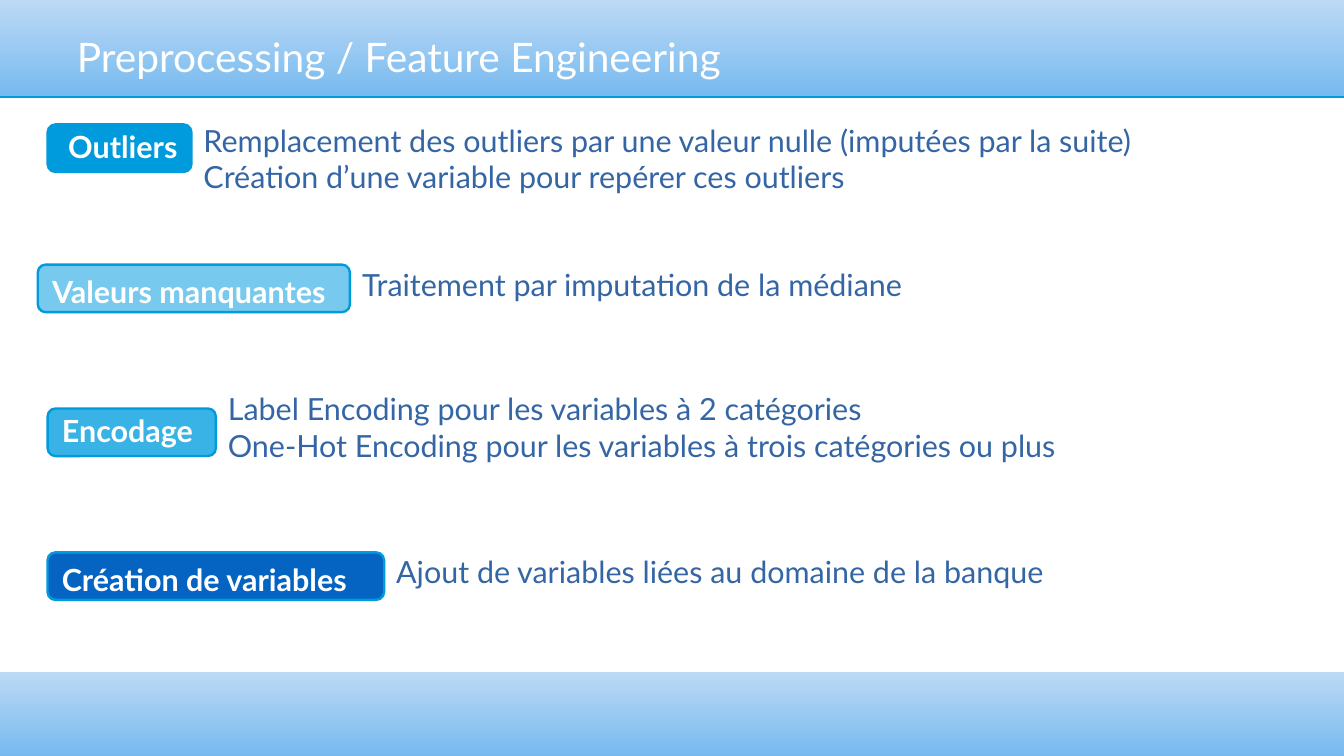
from lxml import etree
from pptx import Presentation
from pptx import util as u
from pptx.dml import color
from pptx.enum import shapes, text
from pptx.oxml import ns

COLORS = {
    "band_top": "BCDAF5",
    "band_bottom": "77B9EF",
    "accent": "009BDD",
    "missing": "77CAEE",
    "encoding": "39B2E5",
    "creation": "0563C1",
    "body": "3465A4",
    "white": "FFFFFF",
}
PAGE_WIDTH, PAGE_HEIGHT = 11.02, 6.2
PILL_HEIGHT = 0.39

BANDS = [(0, 0.79), (5.51, 0.69)]

TOPICS = [
    {"label": "Outliers", "fill": "accent", "pill": (0.39, 1.02, 1.18), "inset": (0.15, 0.01),
     "notes_box": (0.95, 8.75, 0.43),
     "notes": ["Remplacement des outliers par une valeur nulle (imputées par la suite)",
               "Création d’une variable pour repérer ces outliers"]},
    {"label": "Valeurs manquantes", "fill": "missing", "pill": (0.31, 2.17, 2.56), "inset": (0.1, 0.05),
     "notes_box": (2.13, 7.79, 1.22),
     "notes": ["Traitement par imputation de la médiane"]},
    {"label": "Encodage", "fill": "encoding", "pill": (0.39, 3.35, 1.38), "inset": (0.1, 0.01),
     "notes_box": (3.15, 7.79, 1.22),
     "notes": ["Label Encoding pour les variables à 2 catégories",
               "One-Hot Encoding pour les variables à trois catégories ou plus"]},
    {"label": "Création de variables", "fill": "creation", "pill": (0.39, 4.53, 2.76), "inset": (0.1, 0.05),
     "notes_box": (4.49, 5.99, 1.02),
     "notes": ["Ajout de variables liées au domaine de la banque"]},
]


def rgb(name):
    return color.RGBColor.from_string(COLORS[name])


def set_all(target, values):
    for name, value in values.items():
        setattr(target, name, value)


def write(box, lines, ink, size=18, bold=False, inset=(0.1, 0.05), anchor=text.MSO_ANCHOR.TOP):
    frame = box.text_frame
    left, top = inset
    set_all(frame, {"word_wrap": True, "vertical_anchor": anchor, "margin_left": u.Inches(left),
                    "margin_top": u.Inches(top), "margin_right": 0, "margin_bottom": 0})
    for index, line in enumerate(lines):
        para = frame.add_paragraph() if index else frame.paragraphs[0]
        para.alignment = text.PP_ALIGN.LEFT
        span = para.add_run()
        span.text = line
        set_all(span.font, {"name": "Lato", "size": u.Pt(size), "bold": bold})
        span.font.color.rgb = rgb(ink)


def add_text(page, left, top, width, height, lines, ink, **options):
    box = page.shapes.add_textbox(*map(u.Inches, (left, top, width, height)))
    write(box, lines, ink, **options)


def add_edge_shadow(shape):
    shape.shadow.inherit = False
    effects = shape._element.spPr.find(ns.qn("a:effectLst"))
    shadow = etree.SubElement(effects, ns.qn("a:outerShdw"), blurRad="0",
                              dist=str(u.Pt(0.9)), dir="5400000", algn="ctr", rotWithShape="0")
    etree.SubElement(shadow, ns.qn("a:srgbClr"), val=COLORS["accent"])


def add_band(page, top, height):
    band = page.shapes.add_shape(shapes.MSO_SHAPE.RECTANGLE, 0, u.Inches(top),
                                 u.Inches(PAGE_WIDTH), u.Inches(height))
    band.fill.gradient()
    band.fill.gradient_angle = 270
    for stop, name in zip(band.fill.gradient_stops, ("band_top", "band_bottom")):
        stop.color.rgb = rgb(name)
    band.line.fill.background()
    add_edge_shadow(band)


def add_pill(page, left, top, width, label, fill, inset):
    pill = page.shapes.add_shape(shapes.MSO_SHAPE.ROUNDED_RECTANGLE,
                                 *map(u.Inches, (left, top, width, PILL_HEIGHT)))
    pill.shadow.inherit = False
    pill.fill.solid()
    pill.fill.fore_color.rgb = rgb(fill)
    pill.line.color.rgb = rgb("accent")
    pill.line.width = u.Pt(1.42)
    write(pill, [label], "white", bold=True, inset=inset)


def add_topic(page, topic):
    left, top, width = topic["pill"]
    add_pill(page, left, top, width, topic["label"], topic["fill"], topic["inset"])
    notes_top, notes_width, notes_height = topic["notes_box"]
    add_text(page, left + width, notes_top, notes_width, notes_height, topic["notes"], "body")


def main():
    deck = Presentation()
    set_all(deck, {"slide_width": u.Inches(PAGE_WIDTH), "slide_height": u.Inches(PAGE_HEIGHT)})
    page = deck.slides.add_slide(deck.slide_layouts[6])
    for top, height in BANDS:
        add_band(page, top, height)
    add_text(page, 0.39, 0.2, 10.24, 0.52, ["Preprocessing / Feature Engineering"], "white",
             size=24, inset=(0.24, 0), anchor=text.MSO_ANCHOR.MIDDLE)
    for topic in TOPICS:
        add_topic(page, topic)
    deck.save("out.pptx")


if __name__ == "__main__":
    main()
